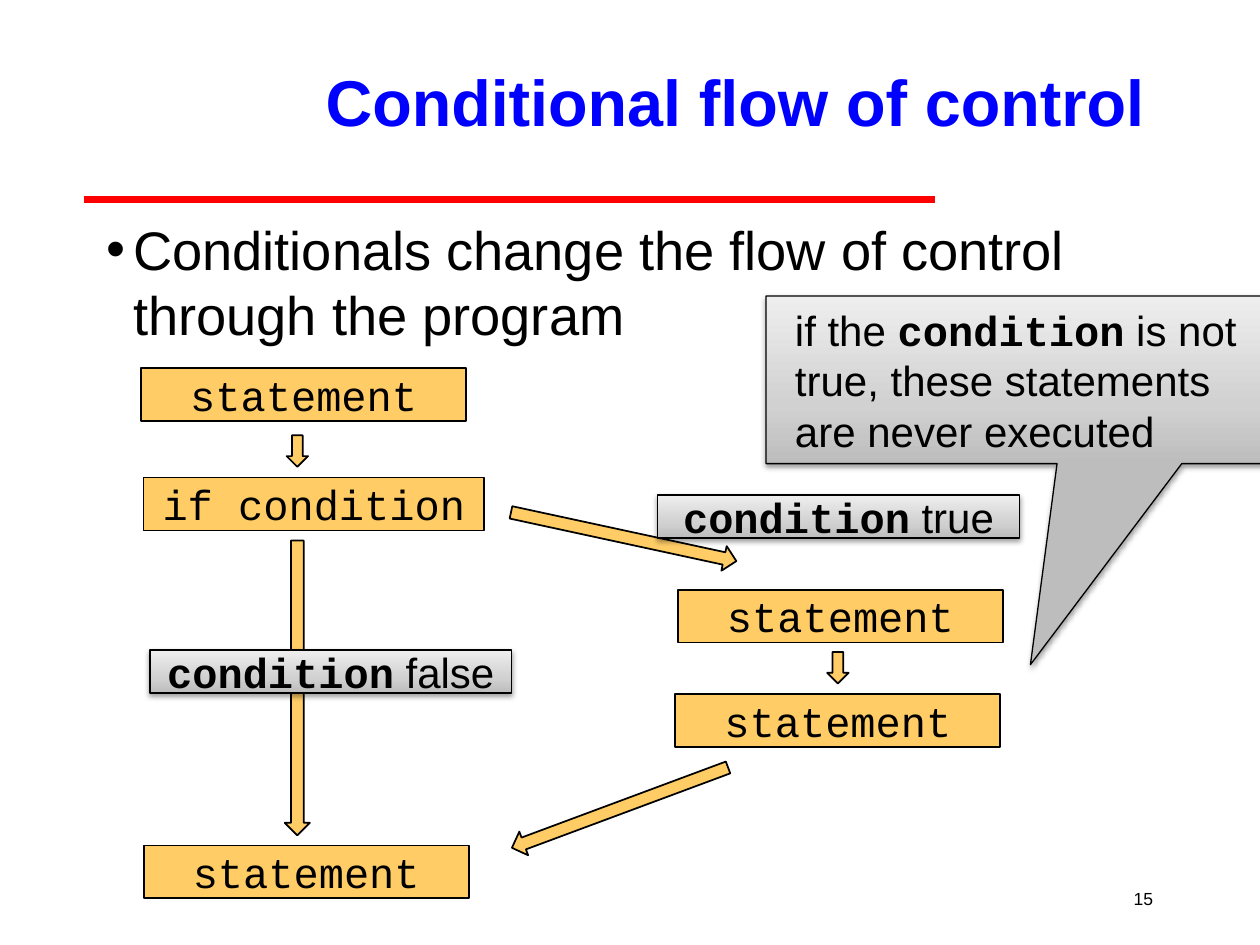
from copy import deepcopy

from lxml import etree
from pptx import Presentation
from pptx import util as u
from pptx.dml.color import RGBColor
from pptx.enum import shapes, text
from pptx.oxml import ns

HEX = {"ink": "000000", "title": "0000FF", "rule": "FF0000", "box": "FFCC66"}
GREYS = [(0, "BDBDBD"), (0.35, "D1D1D1"), (1, "EEEEEE")]
SANS, MONO = "Arial", "Courier New"
KIND = shapes.MSO_SHAPE
MID = text.PP_ALIGN.CENTER
LEFT = text.PP_ALIGN.LEFT
RIGHT = text.PP_ALIGN.RIGHT
CODE = {"name": MONO, "size": u.Pt(24)}
BOLD = {**CODE, "bold": True}
PLAIN = {"name": SANS, "size": u.Pt(24)}


def rgb(code):
    return RGBColor.from_string(code)


def sub(node, tag, **attrs):
    """Add a drawing element below a node."""
    return etree.SubElement(node, ns.qn(tag), attrs)


def write(shape, runs, align=MID, wrap=True, color="ink", **frame):
    """Fill a shape with one paragraph of (words, font format) runs."""
    tf = shape.text_frame
    frame = {"word_wrap": wrap,
             "vertical_anchor": text.MSO_ANCHOR.MIDDLE, **frame}
    for key, val in frame.items():
        setattr(tf, key, val)
    par = tf.paragraphs[0]
    par.alignment = align
    for words, form in runs:
        run = par.add_run()
        run.text = words
        run.font.color.rgb = rgb(HEX[color])
        for key, val in form.items():
            setattr(run.font, key, val)
    return par


def label(slide, area, runs, **opts):
    box = slide.shapes.add_textbox(*map(u.Inches, area))
    return write(box, runs, **opts)


def bullet(par):
    """Hang a paragraph behind a round bullet."""
    prop = par._p.get_or_add_pPr()
    prop.set("marL", str(u.Inches(0.21)))
    prop.set("indent", str(u.Inches(-0.21)))
    gap = sub(prop, "a:spcBef")
    sub(gap, "a:spcPct", val="20000")
    sub(prop, "a:buFont", typeface=SANS)
    sub(prop, "a:buChar", char="•")


def rule(slide, x1, x2, y):
    line = slide.shapes.add_connector(
        shapes.MSO_CONNECTOR.STRAIGHT, *map(u.Inches, (x1, y, x2, y)))
    line.line.color.rgb = rgb(HEX["rule"])
    line.line.width = u.Pt(4)
    sub(line._element.spPr, "a:effectLst")


def form(slide, kind, area, width=1):
    """A flat outlined shape in the box colour."""
    shape = slide.shapes.add_shape(kind, *map(u.Inches, area))
    shape.shadow.inherit = False
    shape.fill.solid()
    shape.fill.fore_color.rgb = rgb(HEX["box"])
    shape.line.color.rgb = rgb(HEX["ink"])
    shape.line.width = u.Pt(width)
    return shape


def step(slide, x, y, words="statement", width=2.58):
    box = form(slide, KIND.RECTANGLE, (x, y, width, 0.42))
    write(box, [(words, CODE)], wrap=False)


def arrow(slide, x, y, length, turn=90, thick=0.2):
    """An arrow centred on x, y."""
    area = (x - length / 2, y - thick / 2, length, thick)
    form(slide, KIND.RIGHT_ARROW, area).rotation = turn


def note(slide, area, tip, runs, **opts):
    """A grey callout with a soft shadow."""
    shape = form(slide, KIND.RECTANGULAR_CALLOUT, area, 0.75)
    for num, val in enumerate(tip):
        shape.adjustments[num] = val
    fill = shape.fill
    fill.gradient()
    fill.gradient_angle = 90
    prop = shape._element.spPr
    stops = prop.find(".//" + ns.qn("a:gsLst"))
    stops.insert(1, deepcopy(stops[0]))
    for stop, (pos, code) in zip(fill.gradient_stops, GREYS):
        stop.position = pos
        stop.color.rgb = rgb(code)
    shade = sub(prop.find(ns.qn("a:effectLst")), "a:outerShdw",
                blurRad=str(u.Pt(3.1)), dist=str(u.Pt(1.6)),
                dir="5400000", rotWithShape="0")
    tint = sub(shade, "a:srgbClr", val=HEX["ink"])
    sub(tint, "a:alpha", val="38000")
    write(shape, runs, **opts)


def main():
    deck = Presentation()
    deck.slide_width, deck.slide_height = u.Inches(10), u.Inches(7.5)
    slide = deck.slides.add_slide(deck.slide_layouts[6])

    # Heading, main point and page number
    rule(slide, 0.67, 7.42, 1.58)
    label(slide, (2.42, 0.21, 6.83, 1.17),
          [("Conditional flow of control",
            {"name": SANS, "size": u.Pt(37), "bold": True})], color="title")
    bullet(label(slide, (0.75, 1.67, 8.5, 5.17),
                 [("Conditionals change the flow of control "
                   "through the program",
                   {"name": SANS, "size": u.Pt(31)})],
                 align=LEFT, vertical_anchor=text.MSO_ANCHOR.TOP))
    label(slide, (8.83, 6.92, 0.42, 0.42),
          [("15", {"name": SANS, "size": u.Pt(10)})],
          align=RIGHT, wrap=False)

    # Main flow on the left
    step(slide, 1.12, 2.92)
    step(slide, 1.14, 3.79, "if condition", 2.7)
    step(slide, 1.14, 6.71)
    arrow(slide, 2.36, 3.58, 0.25, thick=0.17)
    arrow(slide, 2.36, 5.46, 2.34)

    # Branch on the right
    step(slide, 5.38, 4.68)
    step(slide, 5.36, 5.51)
    arrow(slide, 6.65, 5.3, 0.25, thick=0.17)
    arrow(slide, 4.95, 4.26, 1.83, 12.2)
    arrow(slide, 4.92, 6.41, 1.83, 159.6)

    # Callouts
    for x, y, case in ((5.22, 3.93, " true"), (1.19, 5.16, " false")):
        note(slide, (x, y, 2.87, 0.34), (-0.5, -0.25),
             [("condition", BOLD), (case, PLAIN)], wrap=False)
    note(slide, (6.08, 2.35, 3.96, 1.33), (0.03, 1.7),
         [("if the ", PLAIN), ("condition", BOLD),
          (" is not true, these statements are never executed", PLAIN)],
         align=LEFT, margin_left=u.Inches(0.23))

    deck.save("out.pptx")


if __name__ == "__main__":
    main()
